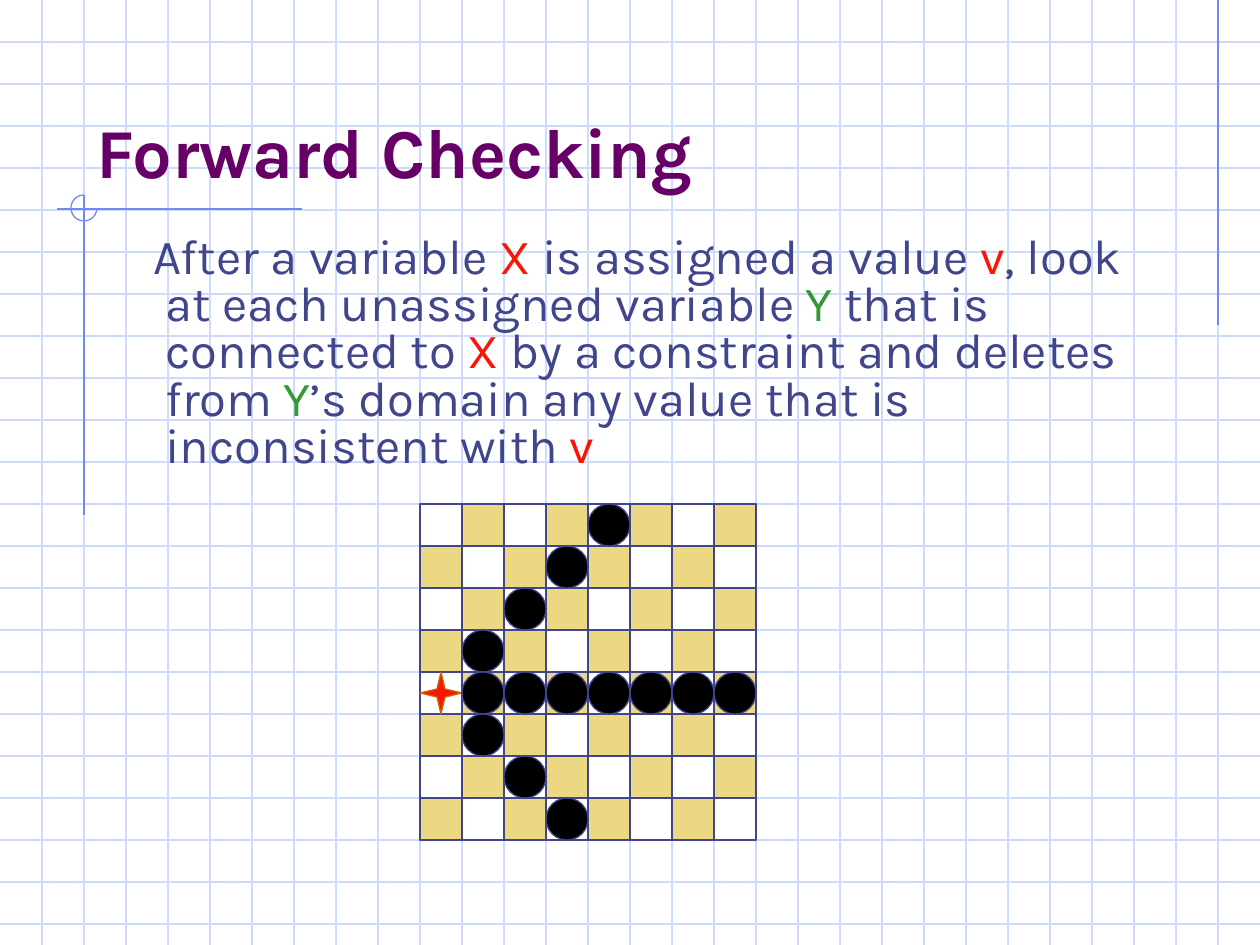
import pptx
import pptx.util
import pptx.dml.color
import pptx.enum.shapes
import pptx.enum.text
import pptx.oxml.ns
import lxml.etree

RGB = pptx.dml.color.RGBColor
GRID_BLUE = RGB(0xCF, 0xDB, 0xFD)
RULE_BLUE = RGB(0x6F, 0x89, 0xF7)
PURPLE = RGB(0x66, 0x00, 0x66)
INDIGO = RGB(0x40, 0x45, 0x8C)
RED = RGB(0xF8, 0x17, 0x06)
GREEN = RGB(0x33, 0x99, 0x33)
TAN = RGB(0xEC, 0xD8, 0x82)
ORANGE = RGB(0xCC, 0x66, 0x00)
BLACK = RGB(0x00, 0x00, 0x00)

SCALE = 914400 / 126  # EMU per px
WIDTH, HEIGHT = 1260, 945
CELL = 42
BOARD_SIZE = 8
BOARD_LEFT, BOARD_TOP = 10 * CELL, 12 * CELL
QUEEN_ROW, QUEEN_COL = 4, 0

SHAPES = pptx.enum.shapes.MSO_SHAPE


def emu(px):
    return pptx.util.Emu(round(px * SCALE))


def add_text(paragraph, text, *, size, color=INDIGO, bold=False, font="Karla"):
    run = paragraph.add_run()
    run.text = text
    run.font.name = font
    run.font.size = pptx.util.Pt(size)
    run.font.bold = bold
    run.font.color.rgb = color


class SlideBuilder:
    line_width = pptx.util.Pt(0.75)

    def __init__(self, slide):
        self.slide = slide
        self.shapes = slide.shapes

    def line(self, x1, y1, x2, y2, color):
        rule = self.shapes.add_connector(
            pptx.enum.shapes.MSO_CONNECTOR.STRAIGHT,
            emu(x1), emu(y1), emu(x2), emu(y2))
        rule.line.color.rgb = color
        rule.line.width = self.line_width
        lxml.etree.SubElement(rule._element.spPr, pptx.oxml.ns.qn("a:effectLst"))

    def paint(self, shape, fill, outline):
        shape.shadow.inherit = False
        if fill is None:
            shape.fill.background()
        else:
            shape.fill.solid()
            shape.fill.fore_color.rgb = fill
        shape.line.color.rgb = outline
        shape.line.width = self.line_width
        return shape

    def shape(self, kind, x, y, w, h, fill=None, outline=INDIGO):
        added = self.shapes.add_shape(kind, emu(x), emu(y), emu(w), emu(h))
        return self.paint(added, fill, outline)

    def polygon(self, points, fill, outline):
        builder = self.shapes.build_freeform(*points[0], scale=SCALE)
        builder.add_line_segments(points[1:], close=True)
        return self.paint(builder.convert_to_shape(), fill, outline)

    def title(self, text, x, y, w, h):
        heading = self.shapes.title
        heading.left, heading.top = emu(x), emu(y)
        heading.width, heading.height = emu(w), emu(h)
        frame = heading.text_frame
        frame.auto_size = pptx.enum.text.MSO_AUTO_SIZE.NONE
        frame.vertical_anchor = pptx.enum.text.MSO_ANCHOR.BOTTOM
        frame.paragraphs[0].alignment = pptx.enum.text.PP_ALIGN.LEFT
        add_text(frame.paragraphs[0], text, size=40, color=PURPLE, bold=True)
        # Bring the heading in front of the background grid
        self.shapes._spTree.append(heading._element)

    def body(self, pieces, x, y, w, h):
        frame = self.shapes.add_textbox(emu(x), emu(y), emu(w), emu(h)).text_frame
        frame.word_wrap = True
        paragraph = frame.paragraphs[0]
        paragraph.line_spacing = 0.8
        properties = paragraph._p.get_or_add_pPr()
        properties.set("marL", str(emu(48)))
        properties.set("indent", str(emu(-12)))
        for text, color in pieces:
            add_text(paragraph, text, size=28, color=color)


def draw_background(builder):
    # Graph-paper grid
    for y in range(CELL, HEIGHT, CELL):
        builder.line(0, y, WIDTH, y, GRID_BLUE)
    for x in range(CELL, WIDTH, CELL):
        builder.line(x, 0, x, HEIGHT, GRID_BLUE)
    # Accent rules and the ring where two of them cross
    builder.line(1218, 0, 1218, 325, RULE_BLUE)
    builder.line(302, 209, 57, 209, RULE_BLUE)
    builder.line(84, 195, 84, 515, RULE_BLUE)
    ring = builder.shape(SHAPES.ARC, 71, 195, 26, 26, outline=RULE_BLUE)
    ring.adjustments[0] = 0
    ring.adjustments[1] = 162  # 270 degrees, in units of 100000/60000


def draw_board(builder):
    span = BOARD_SIZE * CELL
    builder.shape(SHAPES.RECTANGLE, BOARD_LEFT, BOARD_TOP, span, span)
    squares = [(row, col) for row in range(BOARD_SIZE) for col in range(BOARD_SIZE)]

    def mark(kind, row, col, fill):
        builder.shape(kind, BOARD_LEFT + col * CELL, BOARD_TOP + row * CELL,
                      CELL, CELL, fill)

    # Dark squares
    for row, col in squares:
        if (row + col) % 2:
            mark(SHAPES.RECTANGLE, row, col, TAN)

    # Queen
    x = BOARD_LEFT + QUEEN_COL * CELL + CELL // 2
    y = BOARD_TOP + QUEEN_ROW * CELL + CELL // 2
    tip, notch = CELL // 2, 4
    star = [(-tip, 0), (-notch, -notch), (0, -tip), (notch, -notch),
            (tip, 0), (notch, notch), (0, tip), (-notch, notch)]
    builder.polygon([(x + dx, y + dy) for dx, dy in star], RED, ORANGE)

    # Values removed from the other columns: same row or same diagonal
    for row, col in squares:
        distance = col - QUEEN_COL
        if distance and abs(row - QUEEN_ROW) in (0, distance):
            mark(SHAPES.OVAL, row, col, BLACK)


def main():
    deck = pptx.Presentation()
    deck.slide_width, deck.slide_height = emu(WIDTH), emu(HEIGHT)
    builder = SlideBuilder(deck.slides.add_slide(deck.slide_layouts[5]))

    draw_background(builder)
    builder.title("Forward Checking", 84, 42, 1071, 157)
    builder.body([
        ("After a variable ", INDIGO), ("X", RED),
        (" is assigned a value ", INDIGO), ("v", RED),
        (", look at each unassigned variable ", INDIGO), ("Y", GREEN),
        (" that is connected to ", INDIGO), ("X", RED),
        (" by a constraint and deletes from ", INDIGO), ("Y", GREEN),
        ("’s domain any value that is inconsistent with ", INDIGO), ("v", RED),
    ], 105, 231, 1071, 262)
    draw_board(builder)

    deck.save("out.pptx")


if __name__ == "__main__":
    main()
